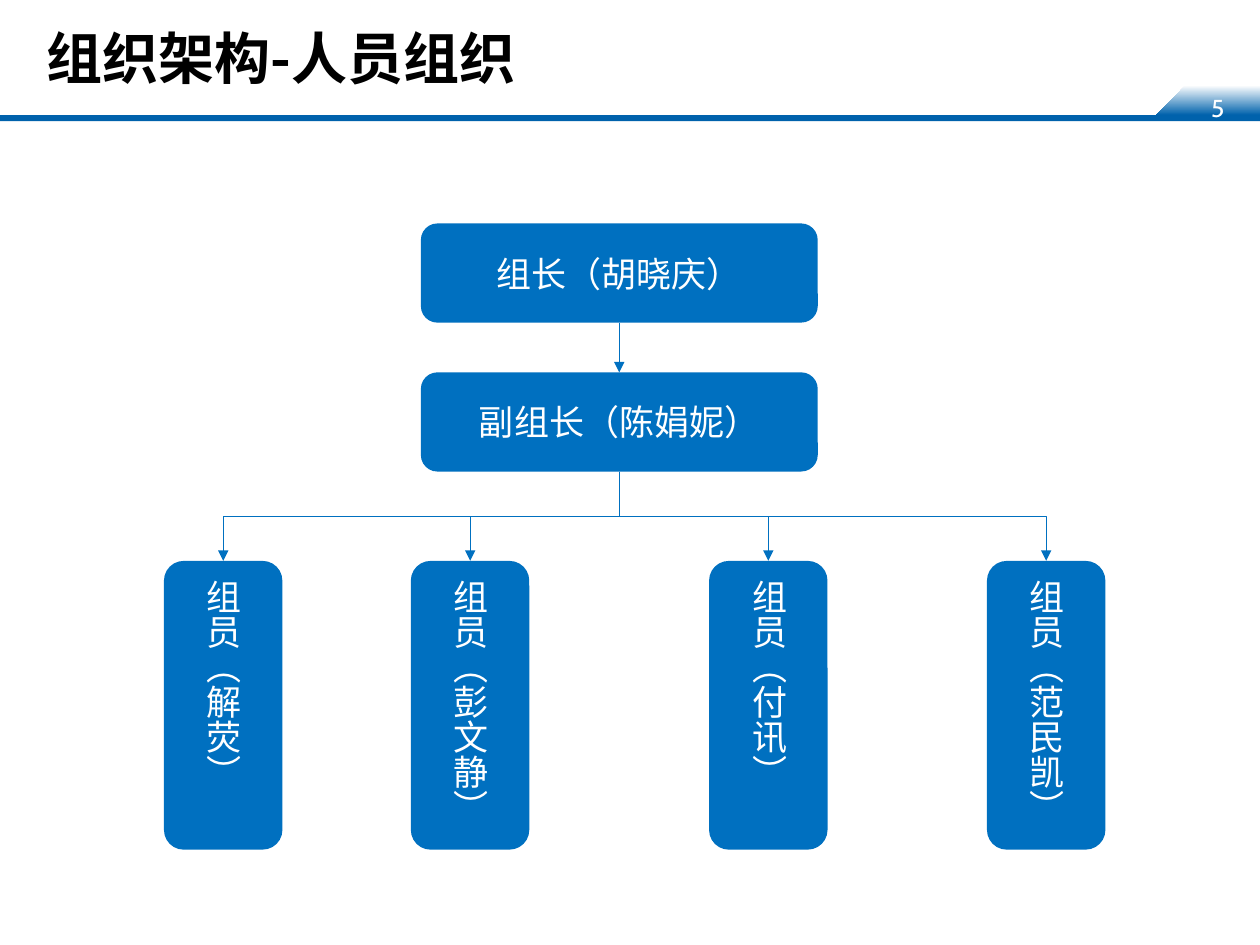
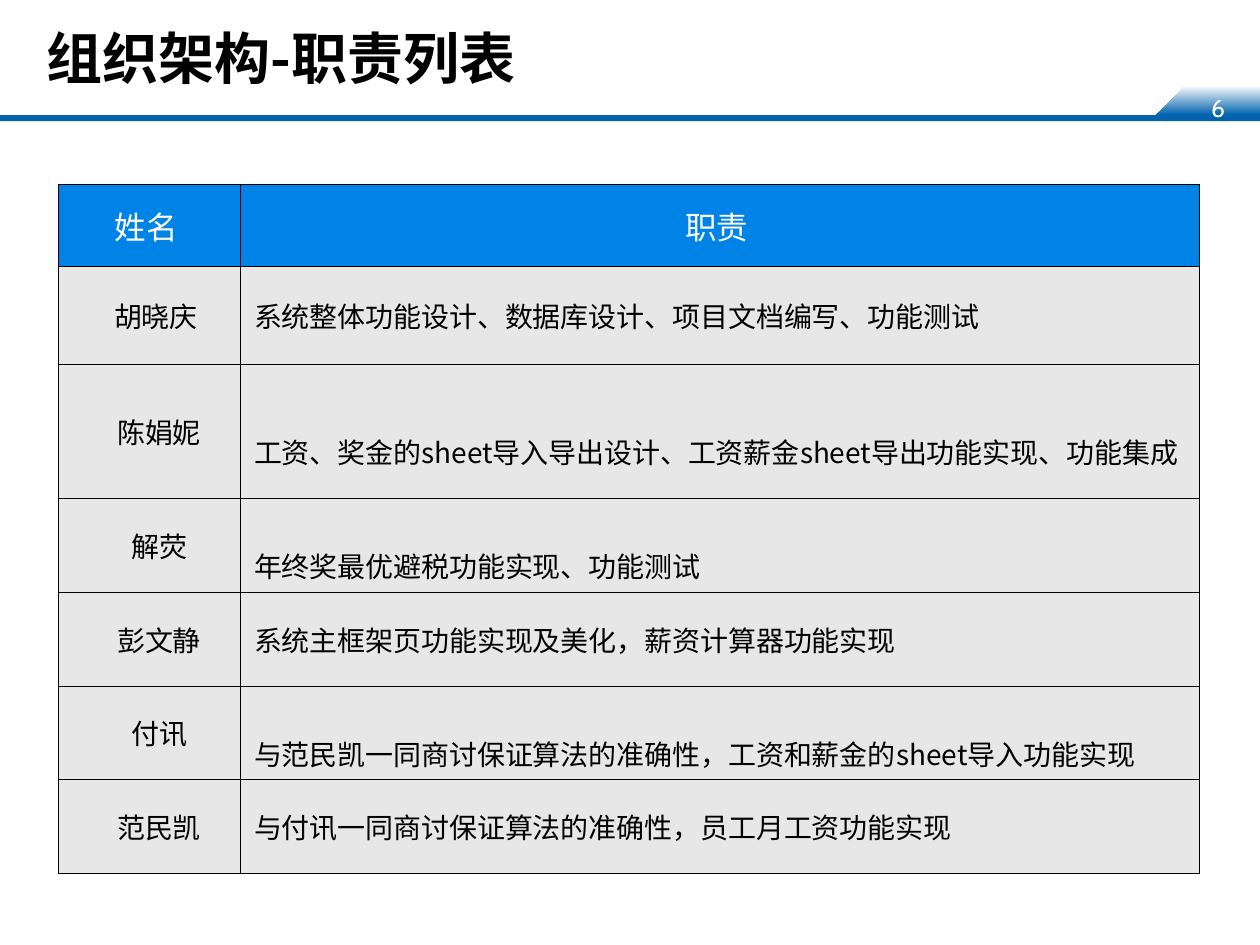
import pptx
import pptx.util
import pptx.dml.color
import pptx.enum.shapes
import pptx.enum.text
import pptx.oxml
from pptx.oxml.ns import qn

Pt = pptx.util.Pt
RGB = pptx.dml.color.RGBColor.from_string
SHAPE = pptx.enum.shapes.MSO_SHAPE
CONNECTOR = pptx.enum.shapes.MSO_CONNECTOR
ALIGN = pptx.enum.text.PP_ALIGN
ANCHOR = pptx.enum.text.MSO_ANCHOR

# Content
ORG_TITLE = "组织架构-人员组织"
LEADER = "组长（胡晓庆）"
DEPUTY = "副组长（陈娟妮）"
MEMBERS = [("组员（解荧）", 93.7), ("组员（彭文静）", 234.8),
           ("组员（付讯）", 405.2), ("组员（范民凯）", 564)]  # text, left edge

DUTY_TITLE = "组织架构-职责列表"
DUTY_HEAD = ("姓名 ", "职责 ")
DUTIES = [  # name, duty, row height, duty set one line lower
    ("胡晓庆 ", "系统整体功能设计、数据库设计、项目文档编写、功能测试", 56, False),
    ("陈娟妮", "工资、奖金的sheet导入导出设计、工资薪金sheet导出功能实现、功能集成", 76.6, True),
    ("解荧", "年终奖最优避税功能实现、功能测试", 53.6, True),
    ("彭文静", "系统主框架页功能实现及美化，薪资计算器功能实现", 53.6, False),
    ("付讯", "与范民凯一同商讨保证算法的准确性，工资和薪金的sheet导入功能实现", 53.6, True),
    ("范民凯", "与付讯一同商讨保证算法的准确性，员工月工资功能实现", 53.6, False),
]


class Theme:
    font, number_font = "Noto Sans CJK SC", "Cabin"
    black, white = "000000", "FFFFFF"
    band, box, head, cell = "0062AC", "0070C0", "0083E6", "E7E7E7"
    title, number, node, th, td = 32, 14, 20, 18, 16


# Layout
WIDTH, HEIGHT = 720, 540
BAND_TOP, BAND_H = 65.8, 3.5
BOX_LEFT, BOX_W, BOX_H = 240.5, 226.8, 56.7
LEADER_TOP, DEPUTY_TOP = 127.7, 212.8
MEMBER_TOP, MEMBER_W, MEMBER_H = 320.5, 67.7, 165
TABLE_LEFT, TABLE_TOP = 33.5, 105.2
COLUMNS, HEAD_H = (104, 548), 47
CELL_SIDE, NAME_LEFT, CELL_PAD = 0.7, 11.5, 3.6
DUTY_INDENT, LINE_H = 7, 23.2


def write(tf, text, size, color, align=ALIGN.LEFT, font=Theme.font, bold=False):
    p = tf.paragraphs[0]
    p.alignment = align
    r = p.add_run()
    r.text = text
    r.font.size, r.font.bold, r.font.name = Pt(size), bold, font
    r.font.color.rgb = RGB(color)
    ea = r._r.get_or_add_rPr().makeelement(qn("a:ea"), {"typeface": font})
    r._r.rPr.find(qn("a:latin")).addnext(ea)
    return p


def paint(sp, color):
    sp.shadow.inherit = False
    sp.fill.solid()
    sp.fill.fore_color.rgb = RGB(color)
    sp.line.fill.background()


# Shared title, band and page number
def new_slide(prs, title, number):
    s = prs.slides.add_slide(prs.slide_layouts[5])
    sp = s.shapes.title
    sp.left, sp.top, sp.width, sp.height = Pt(19.5), Pt(0), Pt(680), Pt(65.5)
    tf = sp.text_frame
    tf.auto_size = pptx.enum.text.MSO_AUTO_SIZE.NONE
    tf.vertical_anchor = ANCHOR.MIDDLE
    write(tf, title, Theme.title, Theme.black, bold=True)

    fb = s.shapes.build_freeform(Pt(WIDTH), Pt(BAND_TOP))
    fb.add_line_segments([(Pt(660.6), Pt(BAND_TOP)), (Pt(677.5), Pt(48.8)),
                          (Pt(WIDTH), Pt(48.8))])
    tab = fb.convert_to_shape()
    paint(tab, Theme.band)
    tab.fill.gradient()
    tab.fill.gradient_angle = 270
    for stop, color in zip(tab.fill.gradient_stops, (Theme.white, Theme.band)):
        stop.color.rgb = RGB(color)
    tab.fill.gradient_stops[0].position = 0
    tab.fill.gradient_stops[1].position = 1

    band = s.shapes.add_shape(SHAPE.RECTANGLE, 0, Pt(BAND_TOP), Pt(WIDTH), Pt(BAND_H))
    paint(band, Theme.band)
    tf = s.shapes.add_textbox(Pt(685), Pt(49.5), Pt(36.5), Pt(22)).text_frame
    tf.word_wrap = True
    write(tf, str(number), Theme.number, Theme.white, font=Theme.number_font)
    return s


# Organisation chart
def add_node(s, text, left, top, width, height, vertical=False):
    sp = s.shapes.add_shape(SHAPE.ROUNDED_RECTANGLE, Pt(left), Pt(top), Pt(width), Pt(height))
    paint(sp, Theme.box)
    tf = sp.text_frame
    tf.word_wrap = True
    tf.vertical_anchor = ANCHOR.MIDDLE
    if vertical:
        tf._txBody.bodyPr.set("vert", "eaVert")
        tf.margin_left = tf.margin_right = Pt(3.6)
        tf.margin_top = tf.margin_bottom = Pt(7.2)
    write(tf, text, Theme.node, Theme.white, ALIGN.CENTER)
    return sp


def add_arrow(s, kind, x1, y1, x2, y2):
    c = s.shapes.add_connector(kind, Pt(x1), Pt(y1), Pt(x2), Pt(y2))
    c.line.color.rgb = RGB(Theme.box)
    c.line.width = Pt(0.75)
    ln = c.line._get_or_add_ln()
    ln.append(ln.makeelement(qn("a:tailEnd"), {"type": "triangle"}))
    spPr = c._element.spPr
    spPr.append(spPr.makeelement(qn("a:effectLst"), {}))
    return c


def add_branch(s, x1, y1, x2, y2):
    """Elbow that leaves downwards: its frame is turned a quarter."""
    mid_x, mid_y = (x1 + x2) / 2, (y1 + y2) / 2
    half_w, half_h = (y2 - y1) / 2, abs(x2 - x1) / 2
    side = 1 if x2 > x1 else -1  # a branch to the right is mirrored
    c = add_arrow(s, CONNECTOR.ELBOW, mid_x + side * half_w, mid_y - half_h,
                  mid_x - side * half_w, mid_y + half_h)
    turn = 270 if side > 0 else 90
    c._element.spPr.get_or_add_xfrm().set("rot", str(turn * 60000))


def org_slide(prs):
    s = new_slide(prs, ORG_TITLE, 5)
    leader = add_node(s, LEADER, BOX_LEFT, LEADER_TOP, BOX_W, BOX_H)
    deputy = add_node(s, DEPUTY, BOX_LEFT, DEPUTY_TOP, BOX_W, BOX_H)
    center = BOX_LEFT + BOX_W / 2
    c = add_arrow(s, CONNECTOR.STRAIGHT, center, LEADER_TOP + BOX_H, center, DEPUTY_TOP)
    c.begin_connect(leader, 2)
    c.end_connect(deputy, 0)
    for text, left in MEMBERS:
        add_node(s, text, left, MEMBER_TOP, MEMBER_W, MEMBER_H, vertical=True)
        add_branch(s, center, DEPUTY_TOP + BOX_H, left + MEMBER_W / 2, MEMBER_TOP)


# Duty table
def fill_cell(cell, text, size, color, back, align, left=CELL_SIDE, top=CELL_PAD):
    cell.fill.solid()
    cell.fill.fore_color.rgb = RGB(back)
    cell.vertical_anchor = ANCHOR.MIDDLE
    cell.margin_left, cell.margin_right = Pt(left), Pt(CELL_SIDE)
    cell.margin_top, cell.margin_bottom = Pt(top), Pt(CELL_PAD)
    tcPr = cell._tc.get_or_add_tcPr()
    for i, edge in enumerate(("lnL", "lnR", "lnT", "lnB")):
        tcPr.insert(i, pptx.oxml.parse_xml(
            f'<a:{edge} xmlns:a="http://schemas.openxmlformats.org/drawingml/2006/main" '
            f'w="{Pt(0.45)}"><a:solidFill><a:srgbClr val="{Theme.black}"/></a:solidFill></a:{edge}>'))
    return write(cell.text_frame, text, size, color, align)


def duty_slide(prs):
    s = new_slide(prs, DUTY_TITLE, 6)
    heights = [HEAD_H] + [duty[2] for duty in DUTIES]
    table = s.shapes.add_table(len(heights), len(COLUMNS), Pt(TABLE_LEFT), Pt(TABLE_TOP),
                               Pt(sum(COLUMNS)), Pt(sum(heights))).table
    table.first_row = table.horz_banding = False
    for column, width in zip(table.columns, COLUMNS):
        column.width = Pt(width)
    for row, height in zip(table.rows, heights):
        row.height = Pt(height)
    for i, text in enumerate(DUTY_HEAD):
        fill_cell(table.cell(0, i), text, Theme.th, Theme.white, Theme.head, ALIGN.CENTER)
    for i, (name, duty, _, lower) in enumerate(DUTIES, 1):
        fill_cell(table.cell(i, 0), name, Theme.td, Theme.black, Theme.cell,
                  ALIGN.CENTER, left=NAME_LEFT)
        p = fill_cell(table.cell(i, 1), duty, Theme.td, Theme.black, Theme.cell,
                      ALIGN.LEFT, top=CELL_PAD + LINE_H * lower)
        p._p.get_or_add_pPr().set("indent", str(Pt(DUTY_INDENT)))


def main():
    prs = pptx.Presentation()
    prs.slide_width, prs.slide_height = Pt(WIDTH), Pt(HEIGHT)
    org_slide(prs)
    duty_slide(prs)
    prs.save("out.pptx")


if __name__ == "__main__":
    main()
